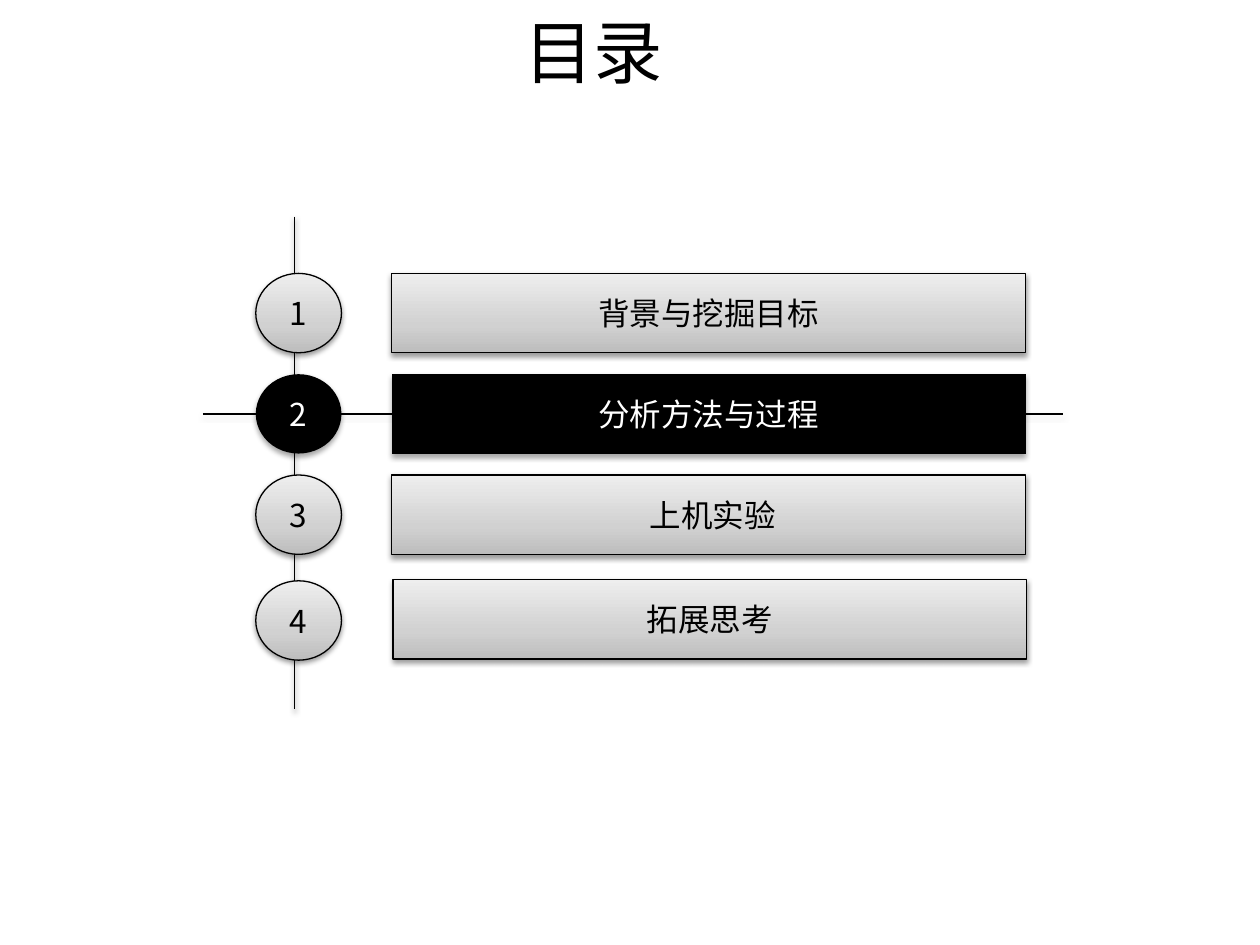
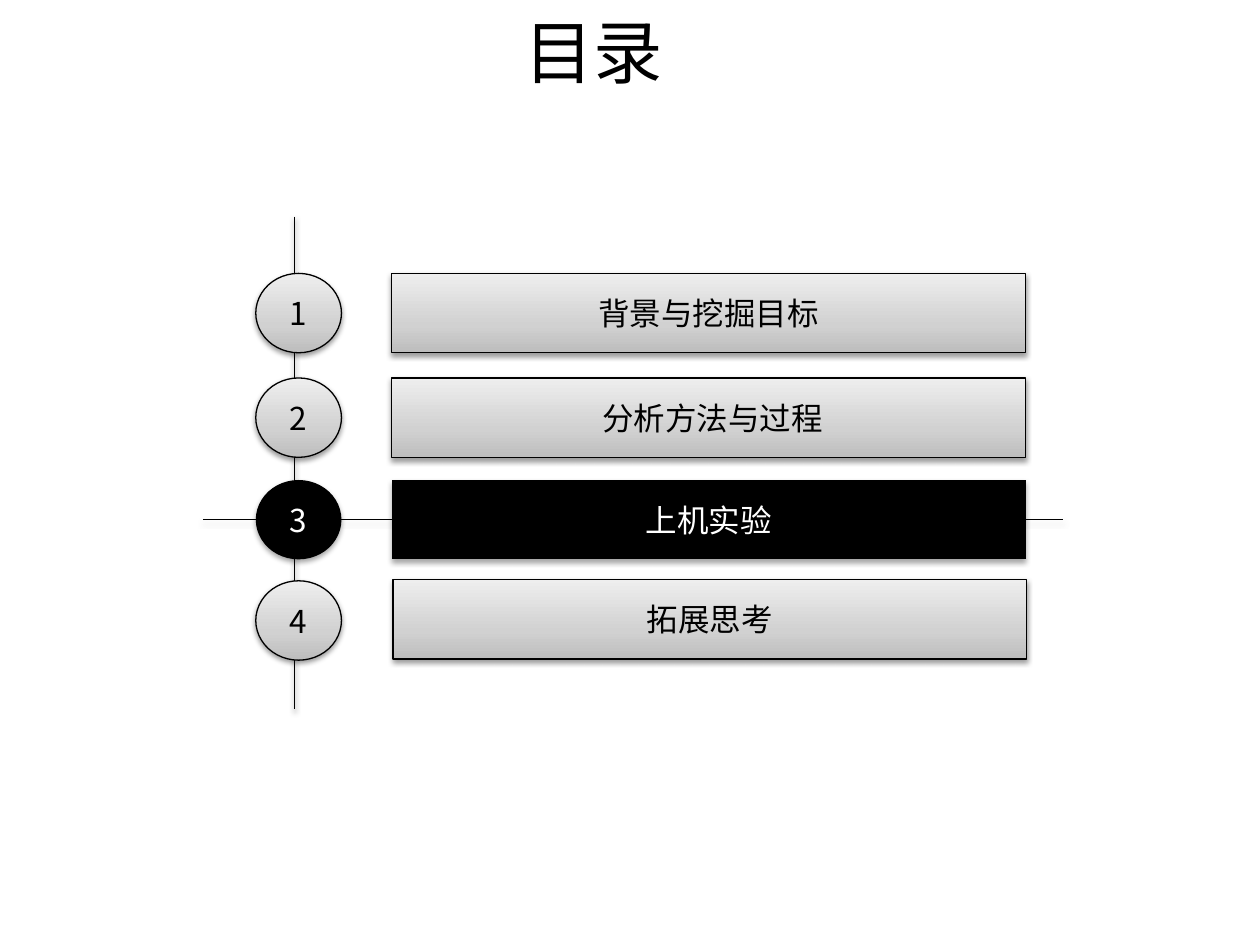
from lxml import etree
from pptx import Presentation
from pptx.dml.color import RGBColor
from pptx.enum import shapes, text
from pptx.oxml import parse_xml
from pptx.oxml.ns import nsdecls, qn
from pptx.util import Inches, Pt

# Content
TITLE = "目录"
CHAPTERS = ["背景与挖掘目标", "分析方法与过程", "上机实验", "拓展思考"]
# Per slide: current chapter, chapter with its label nudged right, row tops
AGENDAS = [
    {"current": 2, "nudged": 3, "tops": [2.17, 2.97, 3.77, 4.61]},
    {"current": 3, "nudged": 2, "tops": [2.17, 3.0, 3.81, 4.61]},
]

# Style
BLACK = RGBColor(0x00, 0x00, 0x00)
WHITE = RGBColor(0xFF, 0xFF, 0xFF)
GREYS = [(0, RGBColor(0xBD, 0xBD, 0xBD)),
         (35, RGBColor(0xD1, 0xD1, 0xD1)),
         (100, RGBColor(0xEE, 0xEE, 0xEE))]
CJK_FONT = "Noto Sans CJK SC"
TITLE_FONT = "Calibri"

# Geometry in inches
TITLE_BOX = (0.16, 0.17, 9.1, 0.47)
BADGE_LEFT, BADGE_WIDTH = 2.03, 0.68
BAR_LEFT, BAR_WIDTH = 3.11, 5.03
ROW_HEIGHT = 0.63
AXIS_X, AXIS_TOP, AXIS_BOTTOM = 2.34, 1.72, 5.63
MARK_LEFT, MARK_RIGHT = 1.61, 8.44
LAST_BAR_SHIFT = 0.01
INSET, NUDGE = 0.1, 0.06


def add_shadow(sp, alpha=38, distance=1.6):
    sp._element.spPr.append(parse_xml(
        f'<a:effectLst {nsdecls("a")}><a:outerShdw blurRad="{Pt(3.1)}" '
        f'dist="{Pt(distance)}" dir="5400000" rotWithShape="0">'
        f'<a:srgbClr val="{BLACK}"><a:alpha val="{alpha * 1000}"/></a:srgbClr>'
        '</a:outerShdw></a:effectLst>'))


def fill_grey(sp):
    sp.fill.gradient()
    sp.fill.gradient_angle = 90
    stops = sp._element.spPr.find(qn("a:gradFill")).find(qn("a:gsLst"))
    for stop in list(stops):
        stops.remove(stop)
    for position, color in GREYS:
        stop = etree.SubElement(stops, qn("a:gs"), pos=str(position * 1000))
        etree.SubElement(stop, qn("a:srgbClr"), val=str(color))


def write(sp, words, font, size, color, **frame):
    tf = sp.text_frame
    frame = {"vertical_anchor": text.MSO_ANCHOR.MIDDLE, **frame}
    for name, value in frame.items():
        setattr(tf, name, value)
    p = tf.paragraphs[0]
    p.alignment = text.PP_ALIGN.CENTER
    r = p.add_run()
    r.text = words
    for name, value in {"name": font, "size": Pt(size)}.items():
        setattr(r.font, name, value)
    r.font.color.rgb = color
    if font == CJK_FONT:
        etree.SubElement(r._r.get_or_add_rPr(), qn("a:ea"), typeface=font)


def add_line(slide, *ends):
    line = slide.shapes.add_connector(
        shapes.MSO_CONNECTOR.STRAIGHT, *map(Inches, ends))
    line.line.color.rgb = BLACK
    line.line.width = Pt(0.75)
    add_shadow(line)


def add_button(slide, kind, box, words, current, nudge=0):
    sp = slide.shapes.add_shape(kind, *map(Inches, box))
    if current:
        sp.fill.solid()
        sp.fill.fore_color.rgb = BLACK
        sp.line.fill.background()
        add_shadow(sp, 35, 1.8)
    else:
        fill_grey(sp)
        sp.line.color.rgb = BLACK
        sp.line.width = Pt(0.75)
        add_shadow(sp)
    write(sp, words, CJK_FONT, 18, WHITE if current else BLACK,
          word_wrap=False, margin_left=Inches(INSET + nudge))


def add_agenda(prs, current, nudged, tops):
    slide = prs.slides.add_slide(prs.slide_layouts[6])

    # Axis and marker of the current chapter
    mark_y = tops[current - 1] + ROW_HEIGHT / 2
    add_line(slide, AXIS_X, AXIS_TOP, AXIS_X, AXIS_BOTTOM)
    add_line(slide, MARK_LEFT, mark_y, MARK_RIGHT, mark_y)

    # Numbered chapters
    for number, (chapter, top) in enumerate(zip(CHAPTERS, tops), 1):
        shift = LAST_BAR_SHIFT if number == len(CHAPTERS) else 0
        add_button(slide, shapes.MSO_SHAPE.OVAL,
                   (BADGE_LEFT, top, BADGE_WIDTH, ROW_HEIGHT),
                   str(number), number == current)
        add_button(slide, shapes.MSO_SHAPE.ACTION_BUTTON_CUSTOM,
                   (BAR_LEFT + shift, top - shift, BAR_WIDTH, ROW_HEIGHT),
                   chapter, number == current,
                   NUDGE if number == nudged else 0)

    # Title
    title = slide.shapes.add_textbox(*map(Inches, TITLE_BOX))
    write(title, TITLE, TITLE_FONT, 39.6, BLACK, word_wrap=True)


def main():
    prs = Presentation()
    prs.slide_width, prs.slide_height = Inches(10), Inches(7.5)
    for agenda in AGENDAS:
        add_agenda(prs, **agenda)
    prs.save("out.pptx")


if __name__ == "__main__":
    main()
